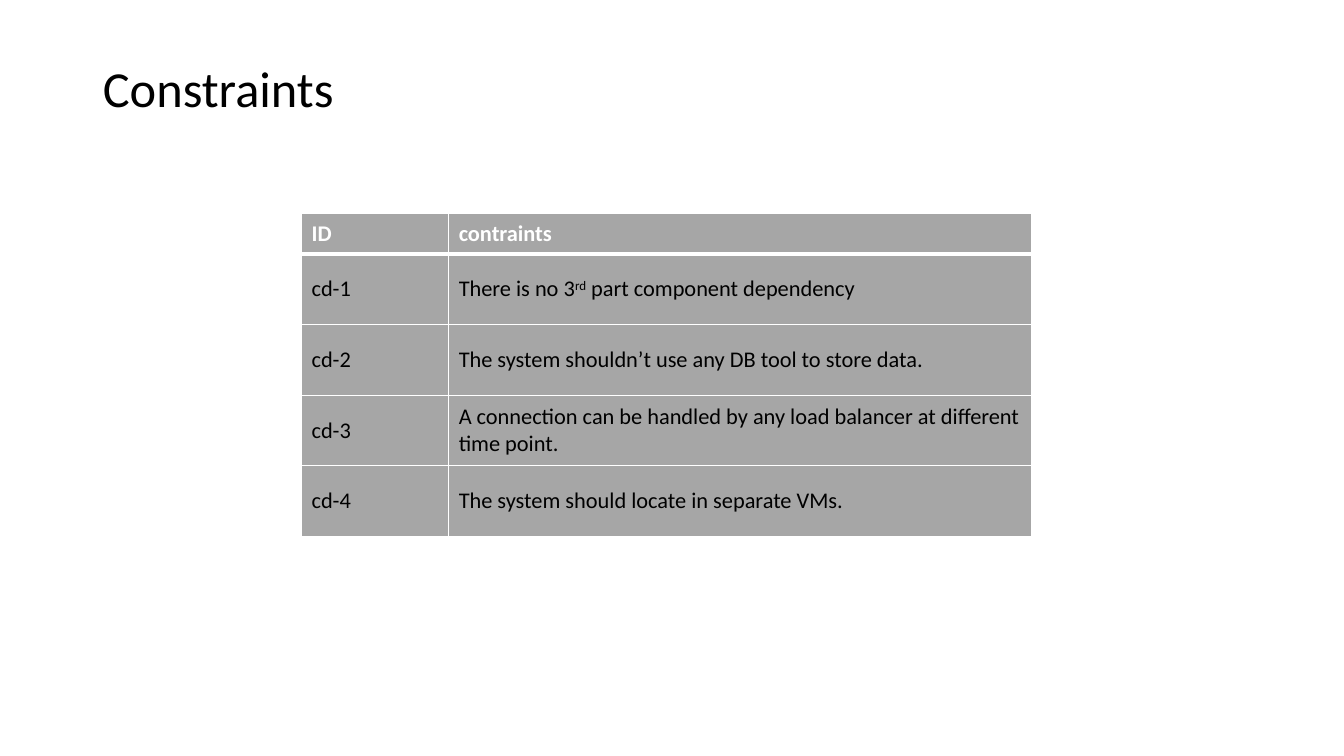
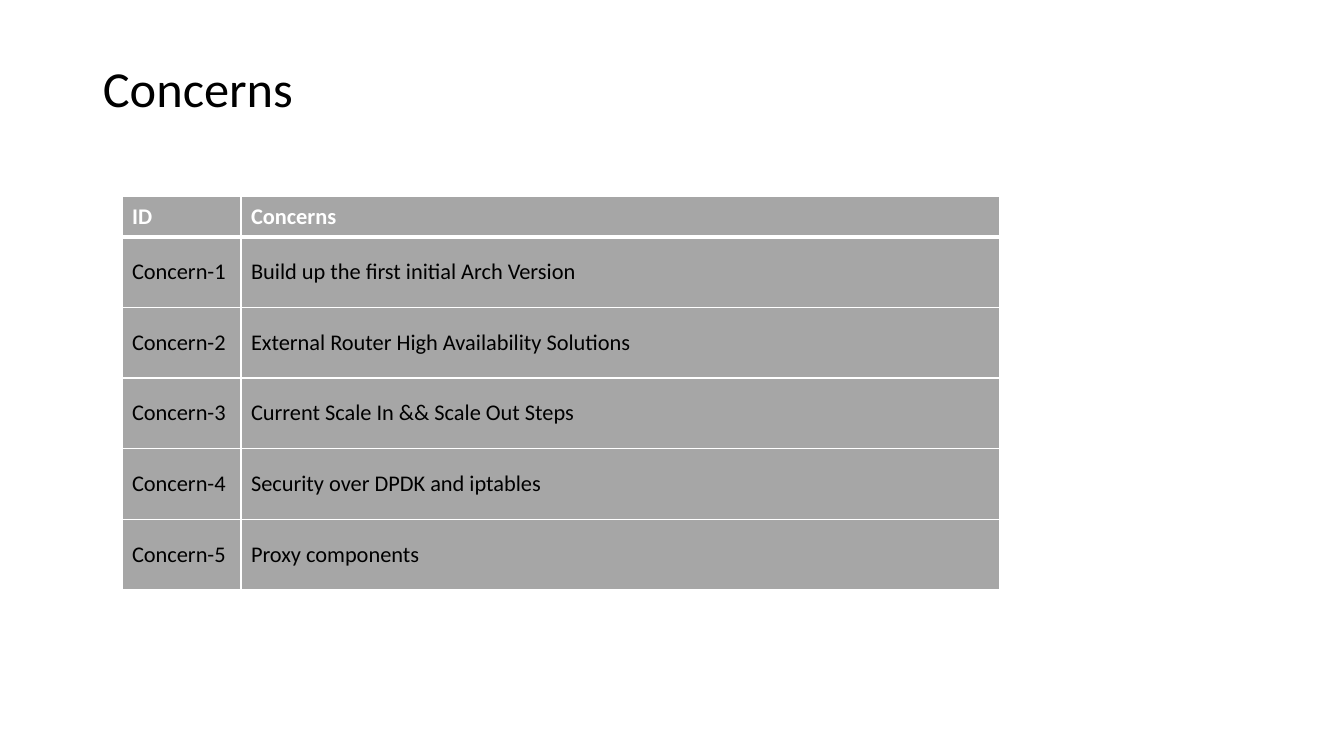
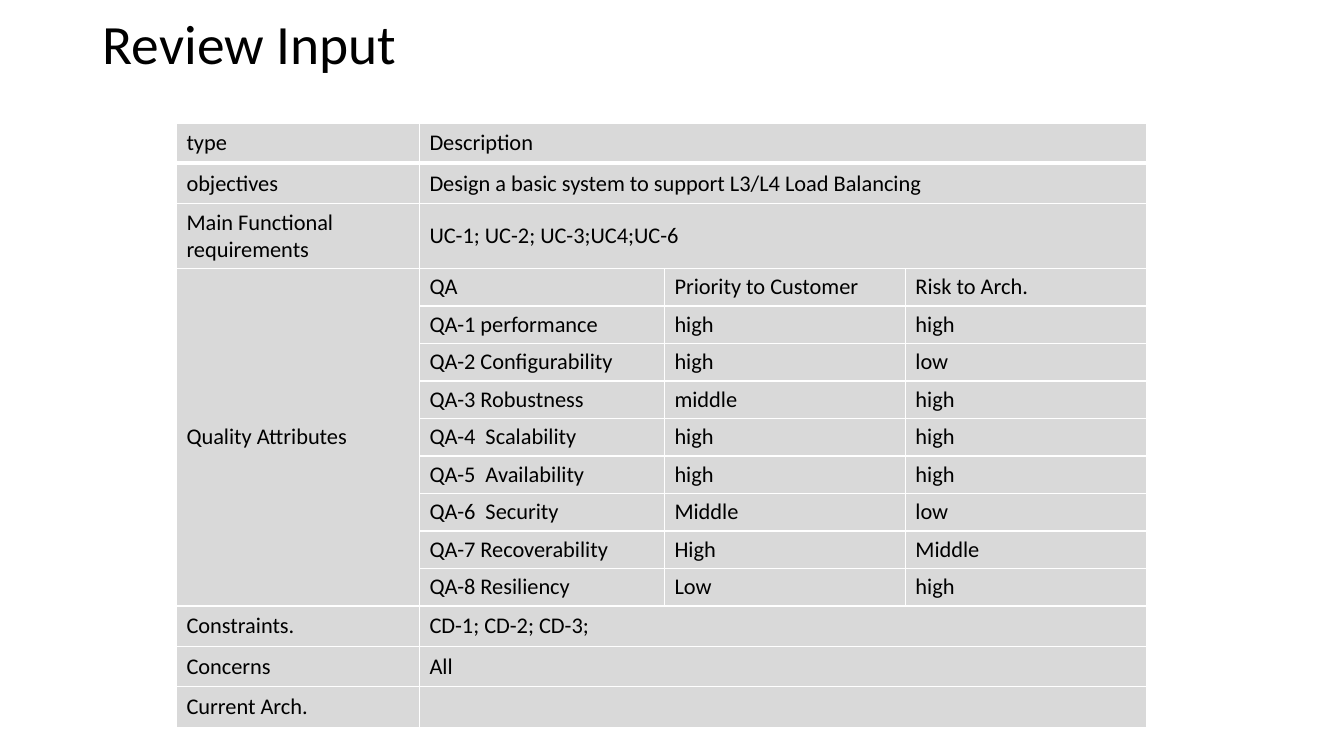
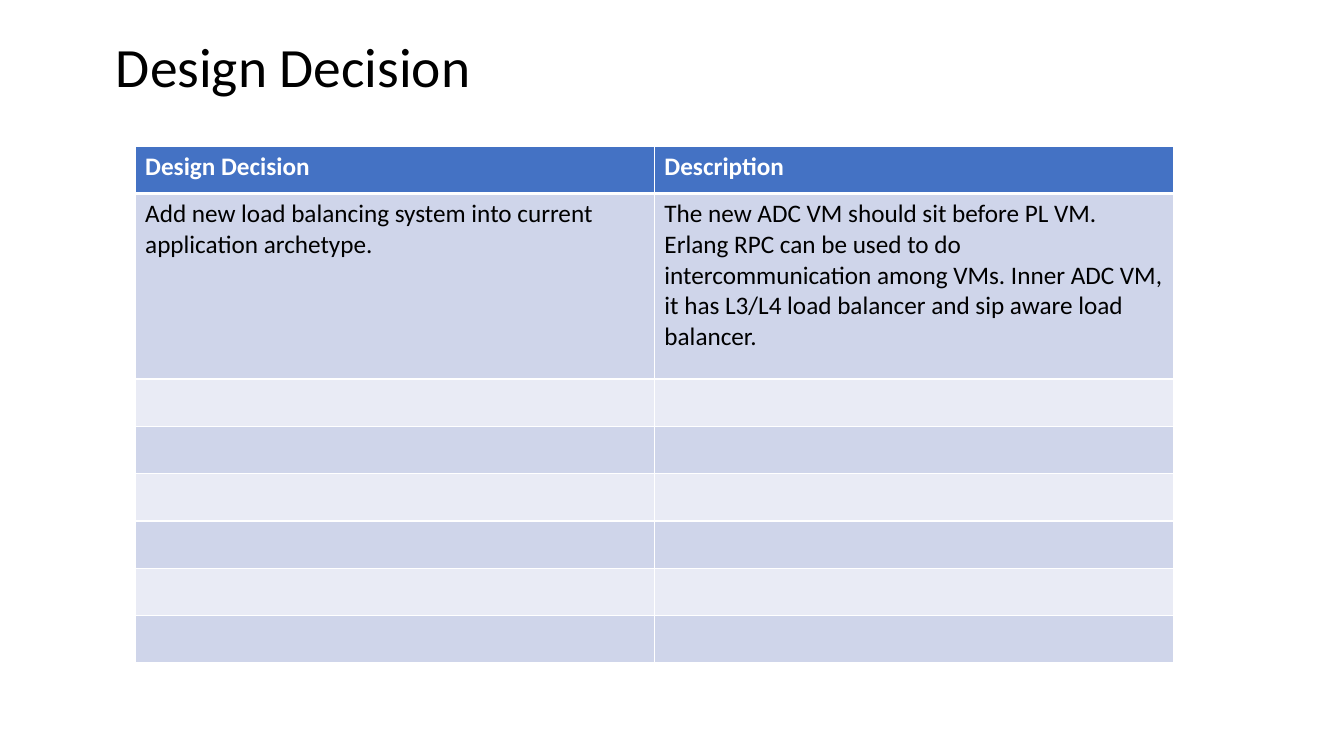
import pptx
import pptx.util
import pptx.dml.color
import pptx.enum.text
import pptx.oxml
import pptx.oxml.ns

Inches = pptx.util.Inches
Pt = pptx.util.Pt
ANCHOR = pptx.enum.text.MSO_ANCHOR
FONT = "Calibri"
HUES = {
    "black": "000000",
    "white": "FFFFFF",
    "gray": "A6A6A6",
    "pale": "D9D9D9",
    "blue": "4472C4",
    "band": "CFD5EA",
    "light": "E9EBF5",
}


def color(name):
    return pptx.dml.color.RGBColor.from_string(HUES[name])


def add_run(para, text, size, hue="black", bold=False):
    run = para.add_run()
    run.text = text
    font = run.font
    font.name, font.size, font.bold = FONT, Pt(size), bold
    font.color.rgb = color(hue)
    return run


def add_title(deck, text, box, size):
    slide = deck.slides.add_slide(deck.slide_layouts[5])
    title = slide.shapes.title
    title.left, title.top, title.width, title.height = map(Inches, box)
    frame = title.text_frame
    frame.word_wrap = True
    frame.auto_size = pptx.enum.text.MSO_AUTO_SIZE.NONE
    frame.vertical_anchor = ANCHOR.MIDDLE
    para = frame.paragraphs[0]
    para.alignment = pptx.enum.text.PP_ALIGN.LEFT
    para.line_spacing = 0.9
    add_run(para, text, size)
    return slide


def add_edge(cell, side, width):
    cell._tc.get_or_add_tcPr().append(pptx.oxml.parse_xml(
        f'<a:ln{side} {pptx.oxml.ns.nsdecls("a")} w="{Pt(width)}"><a:solidFill>'
        f'<a:srgbClr val="{HUES["white"]}"/></a:solidFill></a:ln{side}>'))


def fill_cell(cell, text, size, hue, bold):
    para = cell.text_frame.paragraphs[0]
    for pos, part in enumerate(text.split("^")):
        if part:
            run = add_run(para, part, size, hue, bold)
            if pos % 2:
                run._r.get_or_add_rPr().set("baseline", "30000")


def add_grid(slide, spot, cols, highs, rows, fills, size=16,
             head="white", anchor=ANCHOR.MIDDLE):
    table = slide.shapes.add_table(
        len(rows), len(cols), *map(Inches, (*spot, sum(cols), sum(highs)))).table
    table.horz_banding = False
    for col, width in zip(table.columns, cols):
        col.width = Inches(width)
    for y, (texts, high) in enumerate(zip(rows, highs)):
        table.rows[y].height = Inches(high)
        for x in range(len(cols)):
            cell = table.cell(y, x)
            for side in "LRTB":
                thick = (y, side) in ((0, "B"), (1, "T"))
                add_edge(cell, side, 3 if thick else 1)
            cell.fill.solid()
            cell.fill.fore_color.rgb = color(fills[y])
            cell.vertical_anchor = anchor
            if x < len(texts):
                hue = "black" if y else head
                fill_cell(cell, texts[x], size, hue, hue == "white")
        if len(texts) < len(cols):
            table.cell(y, len(texts) - 1).merge(table.cell(y, len(cols) - 1))
    return table


def add_list(deck, name, spot, cols, head, tag, items):
    slide = add_title(deck, name, (0.92, 0.18, 11.5, 1.45), 36)
    rows = [("ID", head)]
    rows += [(f"{tag}-{num}", item) for num, item in enumerate(items, 1)]
    add_grid(slide, spot, cols, [0.4] + [0.7] * len(items), rows,
             ["gray"] * len(rows))


def add_review(deck):
    slide = add_title(deck, "Review Input", (0.92, 0.15, 11.5, 0.63), 39.6)
    traits = [
        ("QA-1 performance", "high", "high"),
        ("QA-2 Configurability", "high", "low"),
        ("QA-3 Robustness", "middle", "high"),
        ("QA-4  Scalability", "high", "high"),
        ("QA-5  Availability", "high", "high"),
        ("QA-6  Security", "Middle", "low"),
        ("QA-7 Recoverability", "High", "Middle"),
        ("QA-8 Resiliency", "Low", "high"),
    ]
    rows = [
        ("type", "Description"),
        ("objectives", "Design a basic system to support L3/L4 Load Balancing"),
        ("Main Functional requirements", "UC-1; UC-2; UC-3;UC4;UC-6"),
        ("Quality Attributes", "QA", "Priority to Customer", "Risk to Arch."),
        *[("", *trait) for trait in traits],
        ("Constraints.", "CD-1; CD-2; CD-3;"),
        ("Concerns", "All"),
        ("Current Arch.", ""),
    ]
    highs = [0.4, 0.4, 0.64] + [0.37] * (len(traits) + 1) + [0.4] * 3
    table = add_grid(slide, (1.75, 1.22), (2.41, 2.43, 2.39, 2.39), highs,
                     rows, ["pale"] * len(rows), head="black")
    table.cell(3, 0).merge(table.cell(3 + len(traits), 0))


def add_design(deck):
    slide = add_title(deck, "Design Decision", (0.74, 0, 11.5, 1.45), 39.6)
    frame = slide.shapes.title.text_frame
    frame.margin_left = Inches(0.41)
    frame.margin_bottom = Inches(0.12)
    rows = [
        ("Design Decision", "Description"),
        ("Add new load balancing system into current application archetype.",
         "The new ADC VM should sit before PL VM. Erlang RPC can be used to do "
         "intercommunication among VMs. Inner ADC VM, it has L3/L4 load balancer "
         "and sip aware load balancer."),
    ] + [("", "")] * 6
    add_grid(slide, (1.34, 1.45), (5.15, 5.15), [0.47, 1.84] + [0.47] * 6, rows,
             ["blue"] + ["band", "light"] * 3 + ["band"], 18, anchor=ANCHOR.TOP)


def main():
    deck = pptx.Presentation()
    deck.slide_width, deck.slide_height = Inches(13.33), Inches(7.5)
    add_list(deck, "Constraints", (2.99, 2.12), (1.46, 5.78), "contraints", "cd", [
        "There is no 3^rd^ part component dependency",
        "The system shouldn’t use any DB tool to store data.",
        "A connection can be handled by any load balancer at different time point.",
        "The system should locate in separate VMs.",
    ])
    add_list(deck, "Concerns", (1.21, 1.95), (1.18, 7.52), "Concerns", "Concern", [
        "Build up the first initial Arch Version",
        "External Router High Availability Solutions",
        "Current Scale In && Scale Out Steps",
        "Security over DPDK and iptables",
        "Proxy components",
    ])
    add_review(deck)
    add_design(deck)
    deck.save("out.pptx")


if __name__ == "__main__":
    main()
